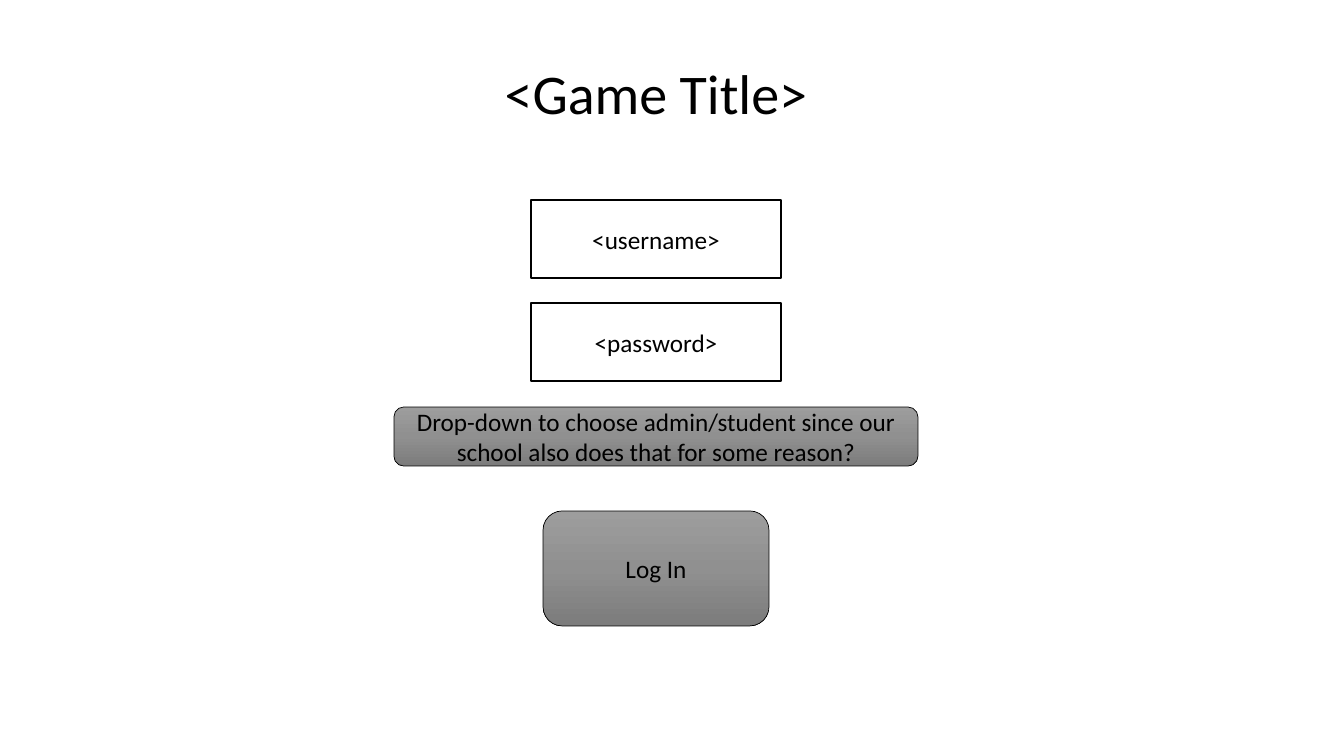
"""Build the game log-in screen slide."""
from copy import deepcopy

from pptx import Presentation
from pptx.dml.color import RGBColor
from pptx.enum.shapes import MSO_SHAPE as SHAPE
from pptx.enum.text import MSO_ANCHOR as ANCHOR, PP_ALIGN as ALIGN
from pptx.oxml.ns import qn
from pptx.util import Pt

PX = 12192000 / 1344
CENTER = 656
BLACK, WHITE = "000000", "FFFFFF"
GRAYS = ["9D9D9D", "909090", "7C7C7C"]


def box(width, top, height):
    return [round(v * PX) for v in (CENTER - width / 2, top, width, height)]


def write(s, text, size):
    tf = s.text_frame
    tf.word_wrap = True
    p = tf.paragraphs[0]
    p.text = text
    p.alignment = ALIGN.CENTER
    p.font.name = "Calibri"
    p.font.size = Pt(size)
    p.font.color.rgb = RGBColor.from_string(BLACK)


prs = Presentation()
prs.slide_width = round(1344 * PX)
prs.slide_height = round(756 * PX)
slide = prs.slides.add_slide(prs.slide_layouts[6])

title = slide.shapes.add_textbox(*box(1060, 54, 78))
write(title, "<Game Title>", 40)

fields = ["<username>", "<password>"]
for i, label in enumerate(fields):
    s = slide.shapes.add_shape(SHAPE.RECTANGLE, *box(250, 200 + 103 * i, 78))
    s.shadow.inherit = False
    s.fill.solid()
    s.fill.fore_color.rgb = RGBColor.from_string(WHITE)
    s.line.color.rgb = RGBColor.from_string(BLACK)
    s.line.width = Pt(1)
    s.text_frame.vertical_anchor = ANCHOR.MIDDLE
    write(s, label, 18)

buttons = [
    ("Log In", 226, 511, 115),
    ("Drop-down to choose admin/student since our school also does that for some reason?", 524, 407, 59),
]
for label, width, top, height in buttons:
    s = slide.shapes.add_shape(SHAPE.ROUNDED_RECTANGLE, *box(width, top, height))
    s.shadow.inherit = False
    s.fill.gradient()
    s.fill.gradient_angle = 270
    stops = s._element.spPr.find(".//" + qn("a:gsLst"))
    stops.insert(1, deepcopy(stops[0]))
    for i, (stop, gray) in enumerate(zip(s.fill.gradient_stops, GRAYS)):
        stop.position = i / 2
        stop.color.rgb = RGBColor.from_string(gray)
    s.line.color.rgb = RGBColor.from_string(BLACK)
    s.line.width = Pt(0.5)
    s.text_frame.vertical_anchor = ANCHOR.MIDDLE
    write(s, label, 18)

prs.save("out.pptx")
